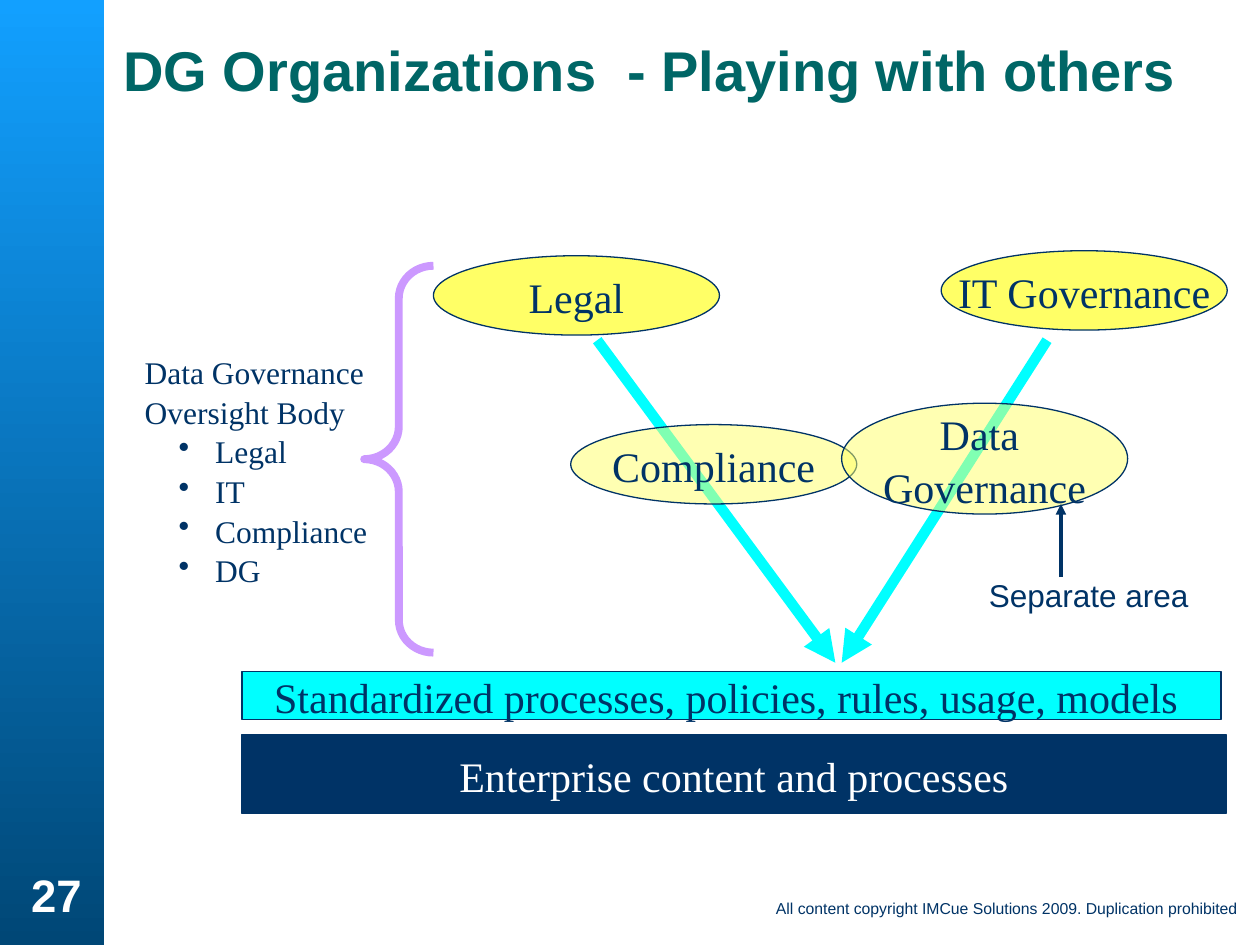
from dataclasses import dataclass

from lxml import etree
from pptx import Presentation
from pptx import util as u
from pptx.dml import color
from pptx.enum import shapes, text
from pptx.oxml import ns


@dataclass(frozen=True)
class Theme:
    navy = color.RGBColor.from_string("003366")
    teal = color.RGBColor.from_string("006666")
    cyan = color.RGBColor.from_string("00FFFF")
    yellow = color.RGBColor.from_string("FFFF66")
    lilac = color.RGBColor.from_string("CC99FF")
    white = color.RGBColor.from_string("FFFFFF")
    sidebar_top = color.RGBColor.from_string("12A0FF")
    sidebar_bottom = color.RGBColor.from_string("004776")
    sans = "Arial"
    serif = "Times New Roman"
    title = u.Pt(32)
    number = u.Pt(26)
    label = u.Pt(24)
    body = u.Pt(18)
    footer = u.Pt(9)


theme = Theme()


def write(shape, lines, size, ink, face, bold=False, align=text.PP_ALIGN.LEFT,
          anchor=text.MSO_ANCHOR.MIDDLE, wrap=False):
    frame = shape.text_frame
    frame.text = "\n".join(lines)
    frame.auto_size = text.MSO_AUTO_SIZE.NONE
    frame.word_wrap = wrap
    frame.vertical_anchor = anchor
    for paragraph in frame.paragraphs:
        paragraph.alignment = align
        if face == theme.serif:
            paragraph.line_spacing = 1.05
        paragraph.font.size = size
        paragraph.font.name = face
        paragraph.font.bold = bold
        paragraph.font.color.rgb = ink


def add_arrow(start, end, ink, width):
    arrow = slide.shapes.add_connector(
        shapes.MSO_CONNECTOR.STRAIGHT, *map(u.Inches, start + end))
    arrow.line.color.rgb = ink
    arrow.line.width = u.Pt(width)
    etree.SubElement(arrow.line._get_or_add_ln(), ns.qn("a:tailEnd"), type="triangle")
    etree.SubElement(arrow._element.spPr, ns.qn("a:effectLst"))


presentation = Presentation()
presentation.slide_width = u.Inches(10)
presentation.slide_height = u.Inches(7.5)
slide = presentation.slides.add_slide(presentation.slide_layouts[5])

title = slide.shapes.title
title.left, title.top, title.width, title.height = map(u.Inches, (0.88, 0.21, 8.57, 0.66))
write(title, ["DG Organizations  - Playing with others"], theme.title, theme.teal,
      theme.sans, bold=True, anchor=text.MSO_ANCHOR.BOTTOM, wrap=True)
title.text_frame.margin_right = 0
title.text_frame.paragraphs[0].line_spacing = 0.9

sidebar = slide.shapes.add_shape(
    shapes.MSO_SHAPE.RECTANGLE, 0, 0, u.Inches(0.83), presentation.slide_height)
sidebar.shadow.inherit = False
sidebar.line.fill.background()
sidebar.fill.gradient()
sidebar.fill.gradient_angle = 270
for stop, tone in zip(sidebar.fill.gradient_stops, (theme.sidebar_top, theme.sidebar_bottom)):
    stop.color.rgb = tone

add_arrow((4.74, 2.7), (6.63, 5.26), theme.cyan, 6)
add_arrow((8.31, 2.7), (6.68, 5.26), theme.cyan, 6)

oval, bar = shapes.MSO_SHAPE.OVAL, shapes.MSO_SHAPE.RECTANGLE
blocks = [
    ("Legal", oval, (3.44, 2.03, 2.27, 0.63), theme.yellow, 100, theme.navy),
    ("IT Governance", oval, (7.47, 1.99, 2.27, 0.63), theme.yellow, 100, theme.navy),
    ("Compliance", oval, (4.53, 3.37, 2.27, 0.63), theme.yellow, 50, theme.navy),
    ("Data \vGovernance", oval, (6.68, 3.2, 2.27, 0.88), theme.yellow, 50, theme.navy),
    ("Enterprise content and processes", bar, (1.92, 5.83, 7.81, 0.63),
     theme.navy, 100, theme.white),
    ("Standardized processes, policies, rules, usage, models ", bar,
     (1.92, 5.33, 7.77, 0.38), theme.cyan, 100, theme.navy),
]
for label, outline, place, fill, opacity, ink in blocks:
    block = slide.shapes.add_shape(outline, *map(u.Inches, place))
    block.shadow.inherit = False
    block.fill.solid()
    block.fill.fore_color.rgb = fill
    if opacity < 100:
        tint = block._element.spPr.find(ns.qn("a:solidFill"))[0]
        etree.SubElement(tint, ns.qn("a:alpha"), val=str(opacity * 1000))
    block.line.color.rgb = theme.navy
    block.line.width = u.Pt(0.75)
    write(block, [label], theme.label, ink, theme.serif, align=text.PP_ALIGN.CENTER)

brace = slide.shapes.add_shape(
    shapes.MSO_SHAPE.LEFT_BRACE, *map(u.Inches, (2.89, 2.11, 0.55, 3.07)))
brace.shadow.inherit = False
brace.fill.background()
brace.line.color.rgb = theme.lilac
brace.line.width = u.Pt(4.5)
brace.adjustments[0] = 0.47
brace.adjustments[1] = 0.5

oversight = slide.shapes.add_textbox(*map(u.Inches, (1.05, 2.07, 2.1, 3.32)))
write(oversight, ["Data Governance", "Oversight Body", "Legal", "IT", "Compliance", "DG"],
      theme.body, theme.navy, theme.serif, wrap=True)
for paragraph in oversight.text_frame.paragraphs[2:]:
    properties = paragraph._p.get_or_add_pPr()
    properties.set("marL", str(u.Inches(0.56)))
    properties.set("indent", str(u.Inches(-0.29)))
    bullet = etree.Element(ns.qn("a:buChar"), char="•")
    properties.find(ns.qn("a:defRPr")).addprevious(bullet)

notes = [
    ("27", (-0.08, 6.83, 1.07, 0.53), theme.number, theme.white, True,
     text.PP_ALIGN.RIGHT, text.MSO_ANCHOR.BOTTOM, True),
    ("All content copyright IMCue Solutions 2009. Duplication prohibited",
     (6.06, 7.08, 3.86, 0.25), theme.footer, theme.navy, False,
     text.PP_ALIGN.LEFT, text.MSO_ANCHOR.TOP, False),
    ("Separate area", (7.75, 4.52, 1.85, 0.4), theme.body, theme.navy, False,
     text.PP_ALIGN.LEFT, text.MSO_ANCHOR.TOP, True),
]
for wording, place, size, ink, bold, align, anchor, wrap in notes:
    note = slide.shapes.add_textbox(*map(u.Inches, place))
    write(note, [wording], size, ink, theme.sans, bold, align, anchor, wrap)
notes_number = slide.shapes[-3]
notes_number.text_frame.margin_right = u.Inches(0.34)

add_arrow((8.42, 4.58), (8.42, 4), theme.navy, 2)

presentation.save("out.pptx")
